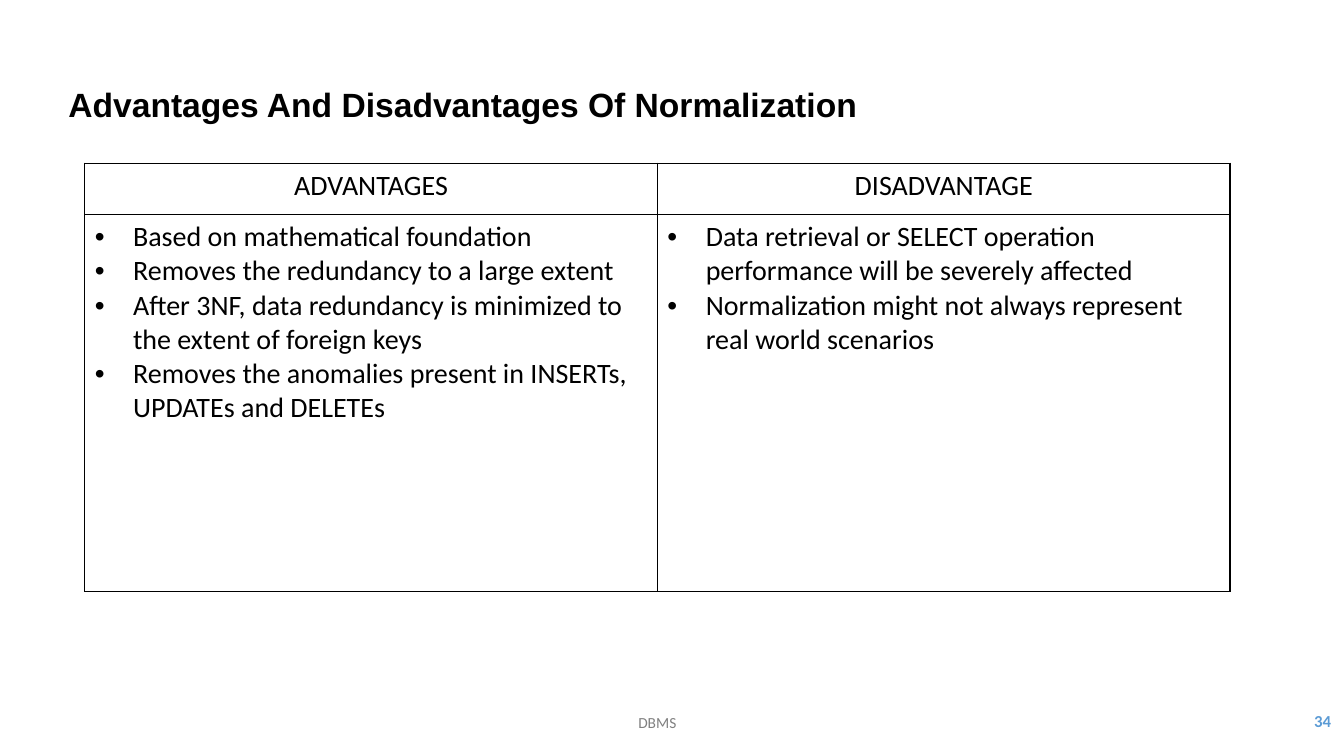
from pptx import Presentation
from pptx.dml.color import RGBColor
from pptx.enum.text import MSO_ANCHOR, PP_ALIGN
from pptx.oxml.ns import qn
from pptx.util import Inches, Pt
from lxml.etree import SubElement

HEADS = ["ADVANTAGES", "DISADVANTAGE"]
POINTS = [
    [
        "Based on mathematical foundation",
        "Removes the redundancy to a large extent",
        "After 3NF, data redundancy is minimized to the extent of foreign keys",
        "Removes the anomalies present in INSERTs, UPDATEs and DELETEs",
    ],
    [
        "Data retrieval or SELECT operation performance will be severely affected",
        "Normalization might not always represent real world scenarios",
    ],
]


def color(code):
    return RGBColor.from_string(code)


def bullet(para):
    props = para._p.get_or_add_pPr()
    props.set("marL", str(Inches(0.38)))
    props.set("indent", str(-Inches(0.38)))
    SubElement(props, qn("a:buFont"), typeface="Arial")
    SubElement(props, qn("a:buChar"), char="•")


def write(frame, lines, size=20, font="Calibri", ink="000000", bold=False,
          align=PP_ALIGN.LEFT, space=None, dots=False):
    for i, line in enumerate(lines):
        para = frame.add_paragraph() if i else frame.paragraphs[0]
        para.alignment = align
        if space:
            para.line_spacing = space
        if dots:
            bullet(para)
        run = para.add_run()
        run.text = line
        run.font.size = Pt(size)
        run.font.name = font
        run.font.bold = bold
        run.font.color.rgb = color(ink)


def label(slide, text, left, top, width, **style):
    box = slide.shapes.add_textbox(
        Inches(left), Inches(top), Inches(width), Inches(0.4))
    frame = box.text_frame
    frame.word_wrap = True
    frame.vertical_anchor = MSO_ANCHOR.MIDDLE
    write(frame, [text], **style)


def border(cell):
    props = cell._tc.get_or_add_tcPr()
    for side in ("lnL", "lnR", "lnT", "lnB"):
        line = SubElement(props, qn(f"a:{side}"), w=str(Pt(1)))
        fill = SubElement(line, qn("a:solidFill"))
        SubElement(fill, qn("a:srgbClr"), val="000000")


def fill(cell, lines, **style):
    border(cell)
    cell.fill.background()
    write(cell.text_frame, lines, **style)


def grid(slide):
    table = slide.shapes.add_table(
        2, 2, Inches(0.84), Inches(1.62), Inches(11.36), Inches(4.25)).table
    table.first_row = False
    table.horz_banding = False
    for row, height in zip(table.rows, (0.51, 3.74)):
        row.height = Inches(height)
    for col, (head, points) in enumerate(zip(HEADS, POINTS)):
        fill(table.cell(0, col), [head], align=PP_ALIGN.CENTER)
        fill(table.cell(1, col), points, dots=True)


def main():
    deck = Presentation()
    deck.slide_width = Inches(13.33)
    deck.slide_height = Inches(7.5)
    slide = deck.slides.add_slide(deck.slide_layouts[6])
    grid(slide)
    label(slide, "Advantages And Disadvantages Of Normalization",
          0.58, 0.86, 10.44, size=24, font="Arial", bold=True, space=0.9)
    label(slide, "DBMS", 3.29, 6.97, 6.46, size=11, ink="808080",
          align=PP_ALIGN.CENTER)
    label(slide, "34", 11.63, 6.95, 1.67, size=12, ink="5B9BD5", bold=True,
          align=PP_ALIGN.RIGHT)
    deck.save("out.pptx")


if __name__ == "__main__":
    main()
